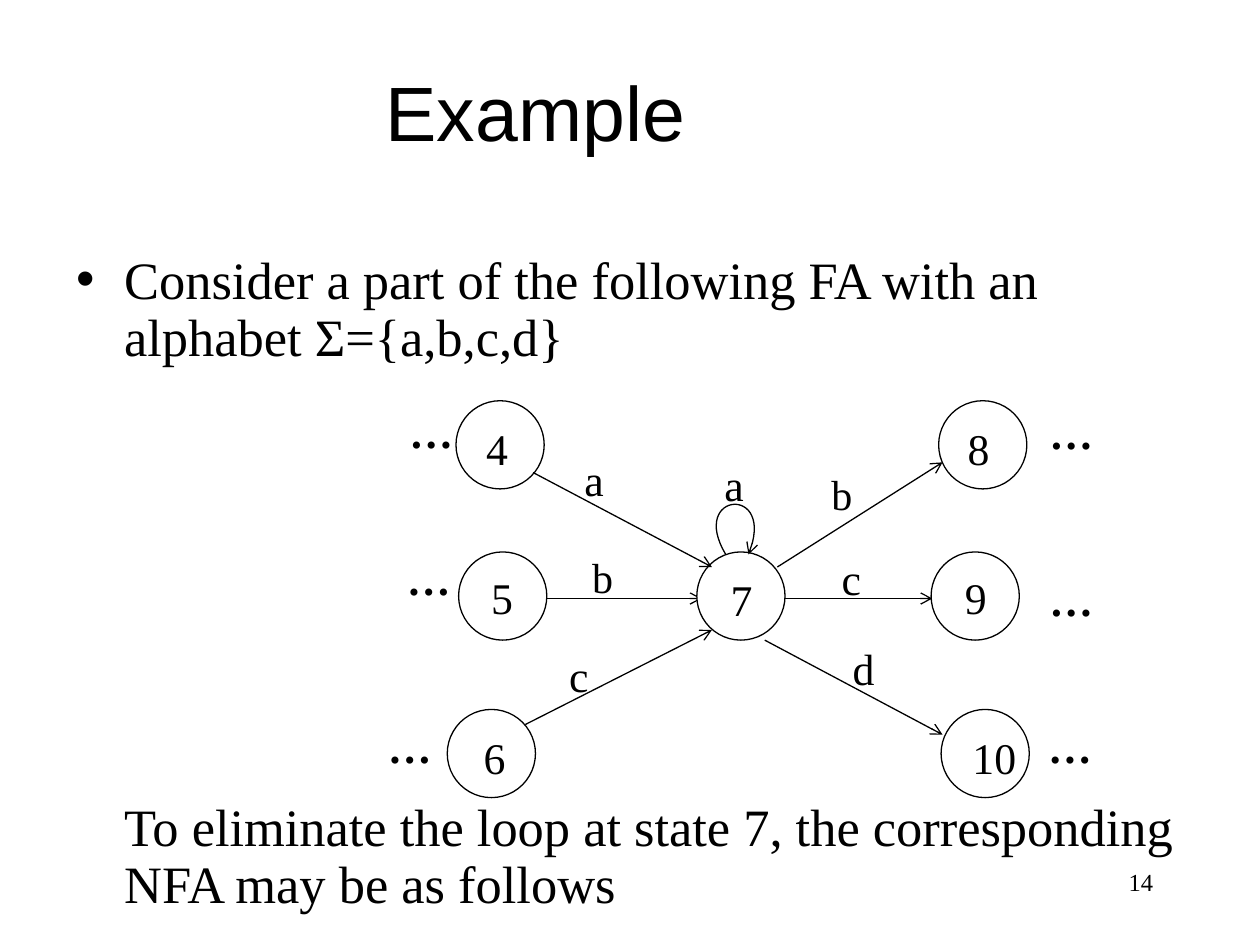
from typing import NamedTuple

from lxml.etree import SubElement
from pptx import Presentation
from pptx.dml.color import RGBColor
from pptx.enum.shapes import MSO_CONNECTOR as Connector, MSO_SHAPE as Preset
from pptx.enum.text import MSO_ANCHOR as Anchor, MSO_AUTO_SIZE as AutoSize, PP_ALIGN as Align
from pptx.oxml.ns import qn
from pptx.util import Pt

COLORS = {"ink": "000000", "paper": "FFFFFF"}
SERIF, SANS = "Times New Roman", "Arial"
DIAMETER = 50.4
LABEL_SIZE = (73.4, 30.2)
HALF_INSET = {"margin_left": Pt(7.2), "margin_right": Pt(7.2),
              "margin_top": Pt(3.6), "margin_bottom": Pt(3.6)}


class Label(NamedTuple):
    text: str
    left: float
    top: float
    size: float = 25
    bold: bool = False


class State(NamedTuple):
    left: float
    top: float
    number: Label


class Edge(NamedTuple):
    x1: float
    y1: float
    x2: float
    y2: float
    symbol: Label


STATES = [
    State(260.6, 229, Label("4", 270.7, 237.6)),
    State(262.1, 315.4, Label("5", 273.6, 322.6)),
    State(255.6, 405.4, Label("6", 269.3, 414)),
    State(398.2, 315.4, Label("7", 410.4, 324)),
    State(536.4, 229, Label("8", 545.8, 237.6)),
    State(532.1, 315.4, Label("9", 544.3, 322.6)),
    State(537.8, 405.4, Label("10", 548.6, 414)),
]
LEVEL_EDGES = [
    Edge(311, 342, 401, 342, Label("b", 331.2, 311.8, 24)),
    Edge(448.6, 342, 532.8, 342, Label("c", 473.8, 311.8)),
]
SLOPING_EDGES = [
    Edge(304.6, 270, 406.8, 324, Label("a", 326.9, 254.9)),
    Edge(300.2, 414, 406.8, 360, Label("c", 318.2, 367.2)),
    Edge(437, 365.8, 538.6, 419.8, Label("d", 480.2, 362.9)),
    Edge(444.2, 324, 538.6, 264.2, Label("b", 468, 264.2, 24)),
]
LOOP_CURVE = [(414.7, 316.8), (393.1, 280.8), (444.2, 276.5), (427.7, 316.8)]
LOOP_LABEL = Label("a", 406.8, 257.8)
DOTS = [Label("…", left, top, bold=True) for left, top in [
    (226.8, 227.5), (225.4, 311.8), (214.6, 407.5),
    (592.6, 228.2), (592.6, 324), (591.8, 407.5)]]


def apply(target, values: dict) -> None:
    for attribute, value in values.items():
        setattr(target, attribute, value)


def color(name: str) -> RGBColor:
    return RGBColor.from_string(COLORS[name])


def write(paragraph, text: str, size: float, font: str = SERIF, bold: bool = False) -> None:
    run = paragraph.add_run()
    run.text = text
    apply(run.font, {"size": Pt(size), "name": font, "bold": bold})
    run.font.color.rgb = color("ink")


def place(shape, left: float, top: float, width: float, height: float) -> None:
    apply(shape, {"left": Pt(left), "top": Pt(top), "width": Pt(width), "height": Pt(height)})


def ink_line(shape, arrow: bool = False) -> None:
    shape.line.color.rgb = color("ink")
    shape.line.width = Pt(0.75)
    if arrow:
        SubElement(shape.line._get_or_add_ln(), qn("a:tailEnd"), type="arrow")


def add_text(slide, left: float, top: float, width: float, height: float):
    """Add an empty text box and return its first paragraph."""
    frame = slide.shapes.add_textbox(Pt(left), Pt(top), Pt(width), Pt(height)).text_frame
    apply(frame, {"word_wrap": True, **HALF_INSET})
    return frame.paragraphs[0]


def add_label(slide, label: Label) -> None:
    paragraph = add_text(slide, label.left, label.top, *LABEL_SIZE)
    write(paragraph, label.text, label.size, bold=label.bold)


def add_state(slide, state: State) -> None:
    circle = slide.shapes.add_shape(Preset.OVAL, Pt(state.left), Pt(state.top),
                                    Pt(DIAMETER), Pt(DIAMETER))
    circle.shadow.inherit = False
    circle.fill.solid()
    circle.fill.fore_color.rgb = color("paper")
    ink_line(circle)
    add_label(slide, state.number)


def add_edge(slide, edge: Edge) -> None:
    arrow = slide.shapes.add_connector(Connector.STRAIGHT, Pt(edge.x1), Pt(edge.y1),
                                       Pt(edge.x2), Pt(edge.y2))
    ink_line(arrow, arrow=True)
    SubElement(arrow._element.spPr, qn("a:effectLst"))
    add_label(slide, edge.symbol)


def bezier(controls: list, t: float) -> tuple:
    weights = ((1 - t) ** 3, 3 * t * (1 - t) ** 2, 3 * t * t * (1 - t), t ** 3)
    return tuple(sum(w * point[axis] for w, point in zip(weights, controls)) for axis in (0, 1))


def add_loop(slide, steps: int = 32) -> None:
    unit = 100  # drawing units per point
    points = [tuple(unit * value for value in bezier(LOOP_CURVE, step / steps))
              for step in range(steps + 1)]
    builder = slide.shapes.build_freeform(*points[0], scale=Pt(1) / unit)
    builder.add_line_segments(points[1:], close=False)
    loop = builder.convert_to_shape()
    loop.shadow.inherit = False
    loop.fill.background()
    ink_line(loop, arrow=True)
    add_label(slide, LOOP_LABEL)


def fill_title(title) -> None:
    place(title, 0, 18, 612, 90)
    apply(title.text_frame, {"vertical_anchor": Anchor.MIDDLE, "auto_size": AutoSize.NONE})
    paragraph = title.text_frame.paragraphs[0]
    paragraph.alignment = Align.CENTER
    write(paragraph, "Example", 44, SANS)


def fill_body(body) -> None:
    place(body, 36.7, 141.1, 643.7, 391.7)
    frame = body.text_frame
    apply(frame, {"vertical_anchor": Anchor.TOP, "auto_size": AutoSize.NONE})
    intro, conclusion = frame.paragraphs[0], frame.add_paragraph()
    write(intro, "Consider a part of the following FA with an alphabet Σ={a,b,c,d}", 30)
    write(conclusion, "To eliminate the loop at state 7, the corresponding NFA may be as follows", 30)
    for paragraph, hanging, space_before in [(intro, -27, 0), (conclusion, 0, 247.5)]:
        apply(paragraph, {"line_spacing": Pt(32.5), "space_before": Pt(space_before)})
        properties = paragraph._p.get_or_add_pPr()
        properties.set("marL", str(Pt(27)))
        properties.set("indent", str(Pt(hanging)))
    SubElement(conclusion._p.pPr, qn("a:buNone"))


def main() -> None:
    deck = Presentation()
    apply(deck, {"slide_width": Pt(720), "slide_height": Pt(540)})
    slide = deck.slides.add_slide(deck.slide_layouts[1])
    fill_title(slide.shapes.title)
    fill_body(slide.placeholders[1])

    for edge in LEVEL_EDGES:
        add_edge(slide, edge)
    for state in STATES:
        add_state(slide, state)
    for edge in SLOPING_EDGES:
        add_edge(slide, edge)
    add_loop(slide)
    for dots in DOTS:
        add_label(slide, dots)

    page_number = add_text(slide, 516.2, 491.8, 149.8, 36)
    page_number.alignment = Align.RIGHT
    write(page_number, "14", 14)
    deck.save("out.pptx")


if __name__ == "__main__":
    main()
